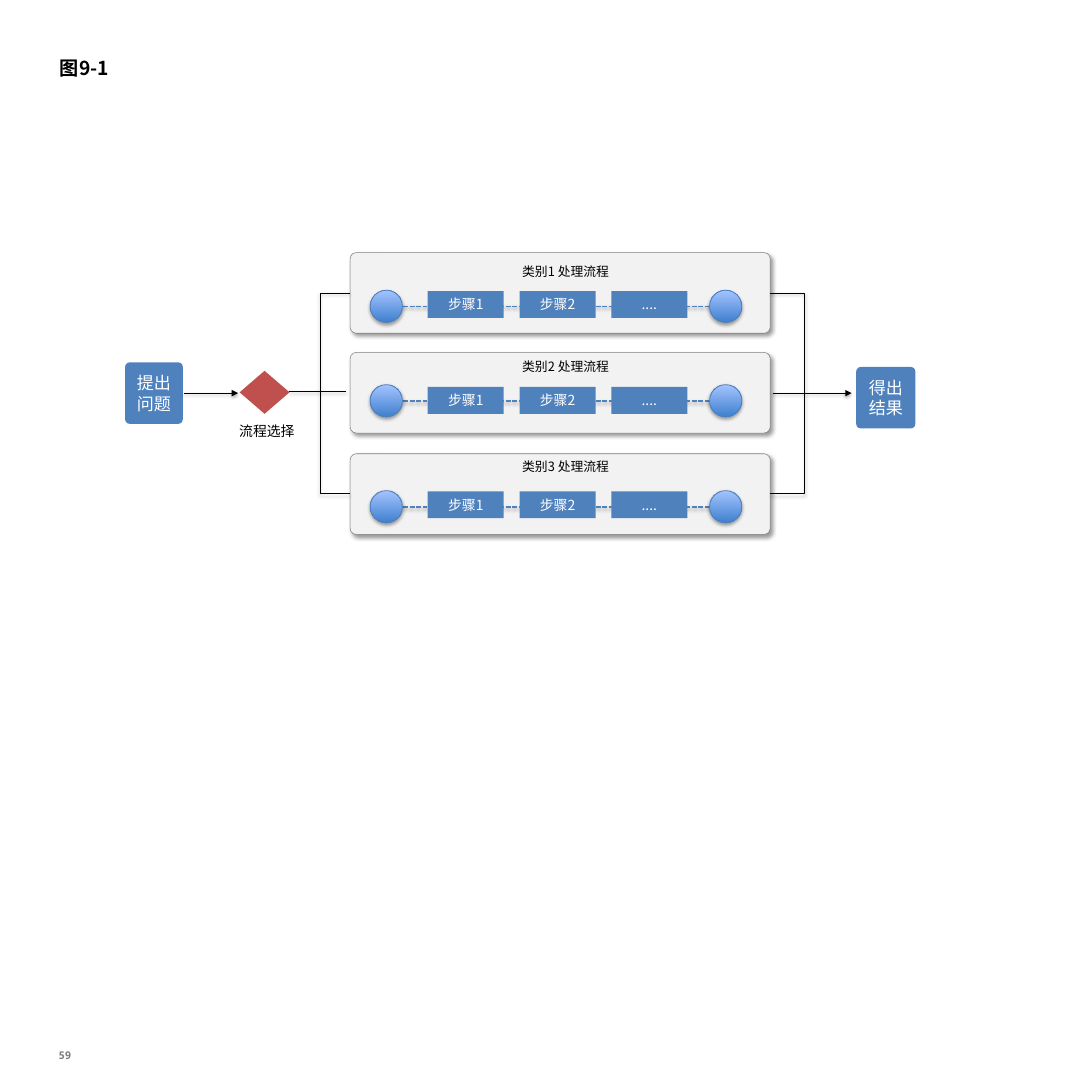
import pptx
import pptx.util
import pptx.dml.color
import pptx.enum.dml
import pptx.enum.shapes
import pptx.enum.text
import pptx.oxml.ns
import lxml.etree

# Grid of square cells: 142.2 columns by 141.7 rows
CELL = pptx.util.Inches(0.1)
COLS, ROWS = 142.2, 141.7

HUES = {"blue": "4F81BD", "red": "C0504D", "pale": "F2F2F2", "gray": "808080",
        "rim": "4B7EBC", "low": "3F80CE", "high": "A4C4FF",
        "black": "000000", "white": "FFFFFF"}
# Shadow kinds: opacity in percent, blur and distance in points, angle in degrees
SHADES = {"panel": (40, 4, 3, 45), "soft": (35, 3.1, 1.8, 90)}

SANS = "Noto Sans CJK SC"
TEXTS = {
    "title": {"size": pptx.util.Pt(18), "bold": True, "name": SANS},
    "node": {"size": pptx.util.Pt(16), "name": SANS},
    "step": {"size": pptx.util.Pt(13), "name": SANS},
    "label": {"size": pptx.util.Pt(12), "name": SANS},
    "page": {"size": pptx.util.Pt(10), "bold": True, "name": "Noto Sans Mono"},
}
SHAPE = pptx.enum.shapes.MSO_SHAPE
ALIGN = pptx.enum.text.PP_ALIGN


def grid(*cells):
    return [round(cell * CELL) for cell in cells]


def tint(name):
    return pptx.dml.color.RGBColor.from_string(HUES[name])


def sub(node, tag, **marks):
    return lxml.etree.SubElement(node, pptx.oxml.ns.qn(tag), marks)


class Board:
    def __init__(self, deck):
        self.slide = deck.slides.add_slide(deck.slide_layouts[5])
        self.shapes = self.slide.shapes

    def letter(self, frame, text, style, hue, align=ALIGN.CENTER, pads=None):
        frame.text = text
        frame.word_wrap = True
        frame.auto_size = pptx.enum.text.MSO_AUTO_SIZE.NONE
        frame.vertical_anchor = pptx.enum.text.MSO_ANCHOR.MIDDLE
        for side, pad in (pads or {}).items():
            setattr(frame, "margin_" + side, pptx.util.Inches(pad))
        for para in frame.paragraphs:
            para.alignment = align
            for run in para.runs:
                for key, value in TEXTS[style].items():
                    setattr(run.font, key, value)
                run.font.color.rgb = tint(hue)
                sub(run.font._element, "a:ea", typeface=TEXTS[style]["name"])

    def stroke(self, line, hue, width):
        line.color.rgb = tint(hue)
        line.width = pptx.util.Pt(width)

    def shade(self, item, kind):
        props = item.element.spPr
        fx = props.find(pptx.oxml.ns.qn("a:effectLst"))
        if fx is None:
            fx = sub(props, "a:effectLst")
        fade, blur, dist, turn = SHADES[kind]
        drop = sub(fx, "a:outerShdw", blurRad=str(round(blur * 12700)),
                   dist=str(round(dist * 12700)), dir=str(turn * 60000),
                   algn="tl", rotWithShape="0")
        ink = sub(drop, "a:srgbClr", val=HUES["black"])
        sub(ink, "a:alpha", val=str(fade * 1000))

    def title(self, text, *box):
        item = self.shapes.title
        item.left, item.top, item.width, item.height = grid(*box)
        pads = {"left": 0.13, "right": 0.13, "top": 0.06, "bottom": 0.06}
        self.letter(item.text_frame, text, "title", "black", ALIGN.LEFT, pads)

    def label(self, text, style, *box, hue="black", pads=None):
        item = self.shapes.add_textbox(*grid(*box))
        self.letter(item.text_frame, text, style, hue, pads=pads)

    def block(self, kind, hue, *box, text="", style="step"):
        item = self.shapes.add_shape(kind, *grid(*box))
        item.shadow.inherit = False
        item.fill.solid()
        item.fill.fore_color.rgb = tint(hue)
        item.line.fill.background()
        if kind == SHAPE.ROUNDED_RECTANGLE:
            item.adjustments[0] = 0.076
        if text:
            self.letter(item.text_frame, text, style, "white")
        return item

    def panel(self, *box):
        item = self.block(SHAPE.ROUNDED_RECTANGLE, "pale", *box)
        self.stroke(item.line, "gray", 0.5)
        self.shade(item, "panel")

    def ball(self, *box):
        item = self.block(SHAPE.OVAL, "low", *box)
        item.fill.gradient()
        item.fill.gradient_angle = 90
        for stop, hue in zip(item.fill.gradient_stops, ("low", "high")):
            stop.color.rgb = tint(hue)
        self.stroke(item.line, "rim", 0.75)
        self.shade(item, "soft")

    def link(self, left, right, row, hue="black", width=0.75, dash=None, head=True):
        kind = pptx.enum.shapes.MSO_CONNECTOR.STRAIGHT
        item = self.shapes.add_connector(kind, *grid(left, row, right, row))
        self.stroke(item.line, hue, width)
        if dash:
            item.line.dash_style = dash
        if head:
            line = item.element.spPr.find(pptx.oxml.ns.qn("a:ln"))
            sub(line, "a:tailEnd", type="triangle")
        self.shade(item, "soft")

    def brace(self, edge, spine, top, base):
        pen = self.shapes.build_freeform(*grid(edge, top))
        turns = [(spine, top), (spine, base), (edge, base)]
        pen.add_line_segments([grid(*turn) for turn in turns], close=False)
        item = pen.convert_to_shape()
        item.shadow.inherit = False
        item.fill.background()
        self.stroke(item.line, "black", 0.75)
        self.shade(item, "soft")


def main():
    deck = pptx.Presentation()
    deck.slide_width, deck.slide_height = grid(COLS, ROWS)
    board = Board(deck)

    # Title and page number
    board.title("图9-1", 6.5, 5.7, 128, 6.3)
    flush = dict.fromkeys(("left", "right", "top", "bottom"), 0)
    board.label("59", "page", 6.4, 136.7, 4.1, 1.6, hue="gray", pads=flush)

    # Three lanes: tops of panel, label, balls and steps
    lanes = [(32.9, 33.9, 37.8, 37.9), (45.9, 46.2, 50.1, 50.4), (59.1, 59.3, 63.9, 64)]
    dots = pptx.enum.dml.MSO_LINE.SQUARE_DOT
    for count, (panel, label, ball, step) in enumerate(lanes, 1):
        board.panel(45.6, panel, 54.7, 10.5)
        board.link(49.2, 94.3, ball + 2.1, "blue", 1.5, dots)
        for left in (48.2, 92.4):
            board.ball(left, ball, 4.2, 4.2)
        for place, text in enumerate(("步骤1", "步骤2", "....")):
            board.block(SHAPE.RECTANGLE, "blue", 55.7 + 11.95 * place, step, 9.9, 3.5, text=text)
        board.label(f"类别{count} 处理流程", "label", 63.1, label, 21.1, 3)

    # Braces that join the lanes
    for edge, spine in ((45.6, 41.7), (100.3, 104.8)):
        board.brace(edge, spine, 38.2, 64.3)

    # Start, choice and result
    board.block(SHAPE.ROUNDED_RECTANGLE, "blue", 16.3, 47.2, 7.5, 8, text="提出\n问题", style="node")
    board.block(SHAPE.FLOWCHART_DECISION, "red", 31.2, 48.3, 6.5, 5.6)
    board.label("流程选择", "step", 29, 53.5, 11.5, 5.2)
    board.block(SHAPE.ROUNDED_RECTANGLE, "blue", 111.5, 47.8, 7.7, 8, text="得出\n结果", style="node")
    board.link(23.9, 31, 51.2)
    board.link(37.7, 45.1, 51, head=False)
    board.link(100.6, 110.9, 51.2)

    deck.save("out.pptx")


if __name__ == "__main__":
    main()
